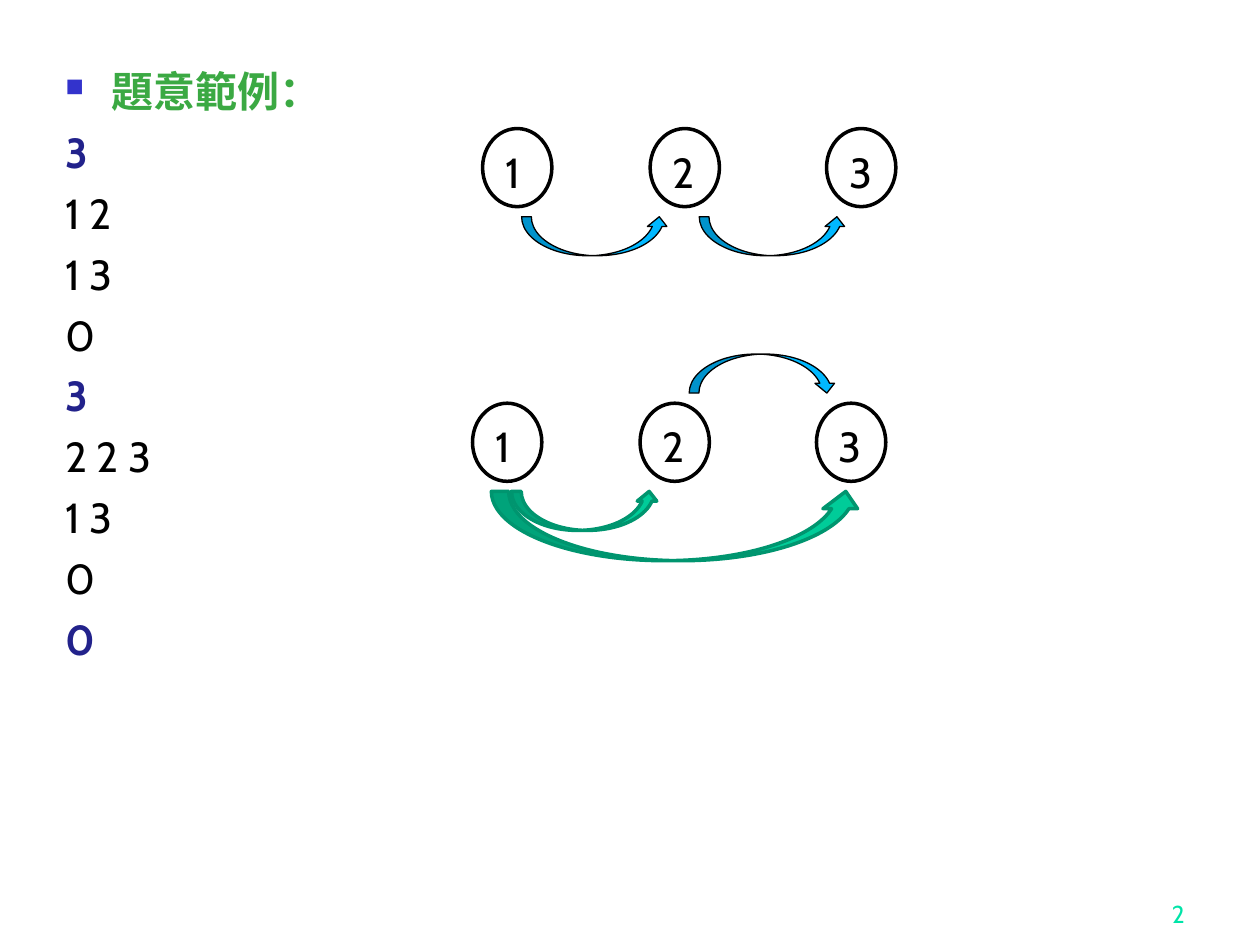
from lxml import etree
from pptx import Presentation, util as u
from pptx.dml.color import RGBColor
from pptx.enum import shapes, text
from pptx.oxml.ns import qn

Inches = u.Inches
Kind = shapes.MSO_SHAPE


def color(code):
    return RGBColor.from_string(code)


def write(para, words, size=24, font="Cabin", ink="000000", bold=False,
          align=text.PP_ALIGN.LEFT):
    para.alignment = align
    run = para.add_run()
    run.text = words
    run.font.size = u.Pt(size)
    run.font.name = font
    run.font.bold = bold
    run.font.color.rgb = color(ink)


prs = Presentation()
prs.slide_width, prs.slide_height = Inches(10), Inches(7.5)
slide = prs.slides.add_slide(prs.slide_layouts[6])

# Slide number
num = slide.shapes.add_textbox(Inches(7.42), Inches(6.92), Inches(2.08), Inches(0.5))
num.text_frame.word_wrap = True
num.text_frame.vertical_anchor = text.MSO_ANCHOR.BOTTOM
write(num.text_frame.paragraphs[0], "2", size=14, ink="00E4A8",
      align=text.PP_ALIGN.RIGHT)

# Heading with square bullet
body = slide.shapes.add_textbox(Inches(0.42), Inches(0.47), Inches(9.11), Inches(6.7))
frame = body.text_frame
frame.word_wrap = True
head = frame.paragraphs[0]
props = head._p.get_or_add_pPr()
props.set("marL", str(Inches(0.37)))
props.set("indent", str(Inches(-0.37)))
tint = etree.SubElement(props, qn("a:buClr"))
etree.SubElement(tint, qn("a:srgbClr")).set("val", "3333CC")
etree.SubElement(props, qn("a:buSzPct")).set("val", "60000")
etree.SubElement(props, qn("a:buChar")).set("char", "■")
write(head, "題意範例：", font="Times New Roman", ink="3BA943", bold=True)

# Sample input: node counts and the closing zero stand out
lines = [("3", True), ("1 2", False), ("1 3", False), ("0", False),
         ("3", True), ("2 2 3", False), ("1 3", False), ("0", False),
         ("0", True)]
for words, key in lines:
    para = frame.add_paragraph()
    para.space_before = u.Pt(6)
    write(para, words, ink="22228B" if key else "000000", bold=key)

# Two graphs of three nodes
for left, top in [(3.83, 1.02), (3.75, 3.2)]:
    for label, step in [("1", 0), ("2", 1.33), ("3", 2.73)]:
        node = slide.shapes.add_shape(Kind.OVAL, Inches(left + step), Inches(top),
                                      Inches(0.55), Inches(0.62))
        node.shadow.inherit = False
        node.fill.solid()
        node.fill.fore_color.rgb = color("FFFFFF")
        node.line.color.rgb = color("000000")
        node.line.width = u.Pt(2)
        node.text_frame.vertical_anchor = text.MSO_ANCHOR.TOP
        write(node.text_frame.paragraphs[0], label)

# Curved arrows between nodes
blue = ("00B8FF", "000000", 0.75)
green = ("00CC99", "00956F", 2)
up, down = Kind.CURVED_UP_ARROW, Kind.CURVED_DOWN_ARROW
arrows = [(up, 4.14, 1.72, 1.17, 0.31, blue),
          (up, 3.9, 3.9, 2.95, 0.55, green),
          (up, 5.55, 1.72, 1.17, 0.31, blue),
          (up, 4.06, 3.9, 1.17, 0.31, green),
          (down, 5.47, 2.81, 1.17, 0.31, blue)]
for kind, left, top, wide, high, (fill, edge, width) in arrows:
    arrow = slide.shapes.add_shape(kind, Inches(left), Inches(top),
                                   Inches(wide), Inches(high))
    arrow.shadow.inherit = False
    arrow.fill.solid()
    arrow.fill.fore_color.rgb = color(fill)
    arrow.line.color.rgb = color(edge)
    arrow.line.width = u.Pt(width)

prs.save("out.pptx")
